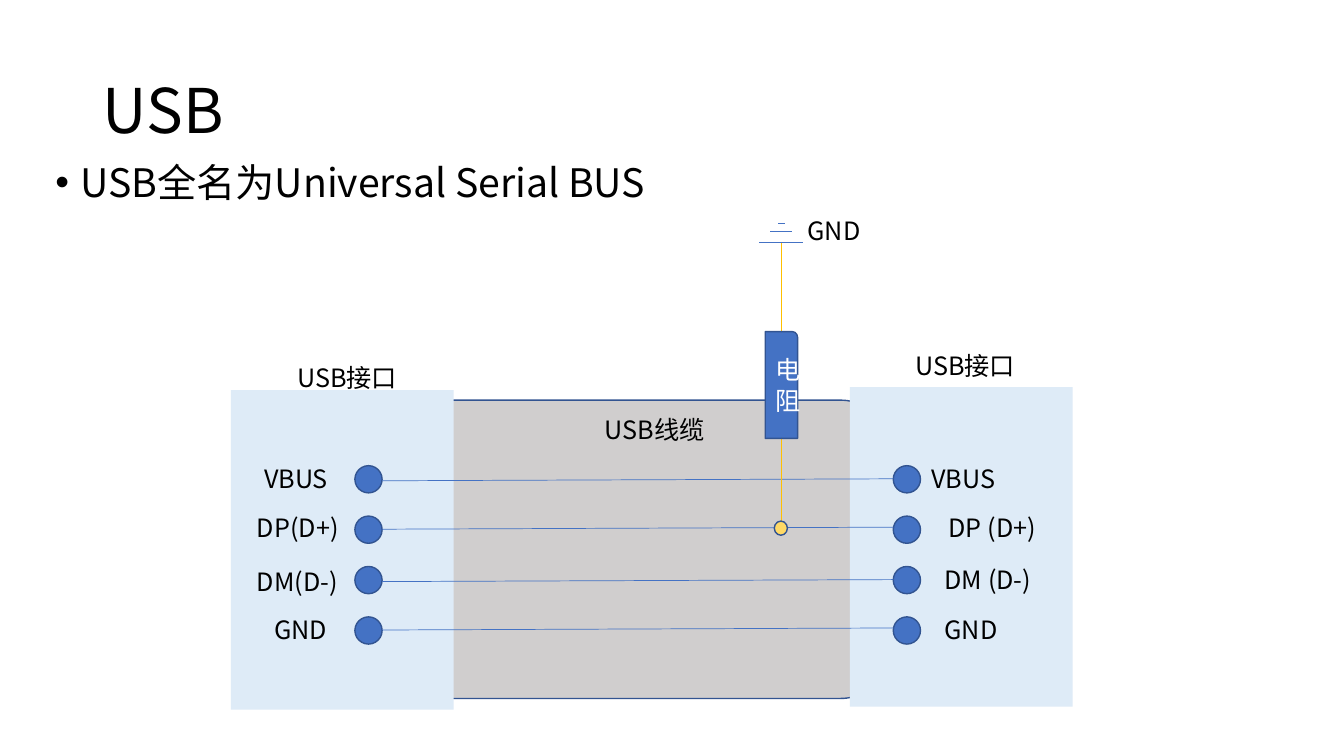
import dataclasses

import lxml.etree
import pptx
import pptx.dml.color
import pptx.enum.shapes
import pptx.enum.text
import pptx.oxml.ns
import pptx.util

PX = 9144  # 100 px to the inch
FONT = "Noto Sans CJK SC"
COLOURS = {
    "cable": "D0CECE",
    "port": "DEEBF7",
    "blue": "4472C4",
    "outline": "325491",
    "node": "FFD966",
    "amber": "FFC000",
    "black": "000000",
    "white": "FFFFFF",
}
KINDS = pptx.enum.shapes.MSO_SHAPE
PIN_SIZE, PIN_TOP, PIN_PITCH = 27, 462, 50
LEFT_PIN, RIGHT_PIN = 352, 886
RESISTOR_X = 775


@dataclasses.dataclass(frozen=True)
class Label:
    text: str
    left: int
    top: int
    width: int = 115


@dataclasses.dataclass(frozen=True)
class Block:
    kind: int
    left: int
    top: int
    width: int
    height: int
    fill: str
    outlined: bool = True


@dataclasses.dataclass(frozen=True)
class Wire:
    x1: int
    y1: int
    x2: int
    y2: int
    colour: str = "blue"


CABLE_AND_PORTS = [
    Block(KINDS.ROUNDED_RECTANGLE, 388, 397, 495, 296, "cable"),
    Block(KINDS.RECTANGLE, 229, 387, 221, 317, "port", False),
    Block(KINDS.RECTANGLE, 843, 384, 221, 317, "port", False),
]
PINS = [
    Block(KINDS.OVAL, left, PIN_TOP + row * PIN_PITCH, PIN_SIZE, PIN_SIZE, "blue")
    for left in (LEFT_PIN, RIGHT_PIN)
    for row in range(4)
]
RESISTOR = Block(KINDS.ROUND_1_RECTANGLE, 759, 329, 32, 106, "blue")
NODE = Block(KINDS.OVAL, 768, 517, 13, 14, "node")

SIGNAL_WIRES = [
    Wire(LEFT_PIN + PIN_SIZE, y, RIGHT_PIN, y - 2) for y in (477, 525, 577, 625)
]
RESISTOR_WIRES = [
    Wire(RESISTOR_X, 435, RESISTOR_X, 524, "amber"),
    Wire(RESISTOR_X, 240, RESISTOR_X, 329, "amber"),
]
GROUND_SYMBOL = [
    Wire(753, 240, 796, 240),
    Wire(764, 230, 786, 230),
    Wire(772, 222, 779, 222),
]
LABELS = [
    Label("VBUS", 252, 455),
    Label("DP(D+)", 245, 503),
    Label("DM(D-)", 245, 557),
    Label("GND", 262, 605),
    Label("USB接口", 285, 355, 174),
    Label("VBUS", 914, 455),
    Label("DP (D+)", 931, 503),
    Label("DM (D-)", 927, 555, 129),
    Label("GND", 927, 605),
    Label("USB接口", 898, 343, 174),
    Label("USB线缆", 590, 406, 174),
    Label("GND", 791, 209, 79),
]


def rgb(name: str) -> pptx.dml.color.RGBColor:
    return pptx.dml.color.RGBColor.from_string(COLOURS[name])


def write(frame, text: str, size: int, colour: str = "black"):
    """Fill the frame with one formatted paragraph and return it."""
    frame.text = text
    frame.word_wrap = True
    para = frame.paragraphs[0]
    font = para.runs[0].font
    font.size = pptx.util.Pt(size)
    font.name = FONT
    font.color.rgb = rgb(colour)
    east_asian = lxml.etree.SubElement(font._element, pptx.oxml.ns.qn("a:ea"))
    east_asian.set("typeface", FONT)
    return para


def fill_placeholder(box, place: tuple, text: str, size: int):
    box.left, box.top, box.width, box.height = (value * PX for value in place)
    para = write(box.text_frame, text, size)
    box.text_frame.auto_size = pptx.enum.text.MSO_AUTO_SIZE.NONE
    para.alignment = pptx.enum.text.PP_ALIGN.LEFT
    para.line_spacing = 0.9
    return para


def add_bullet(para) -> None:
    para.space_before = pptx.util.Pt(10)
    properties = para._p.get_or_add_pPr()
    properties.set("marL", str(25 * PX))
    properties.set("indent", str(-25 * PX))
    for tag, key, value in (("a:buFont", "typeface", "Arial"), ("a:buChar", "char", "•")):
        lxml.etree.SubElement(properties, pptx.oxml.ns.qn(tag)).set(key, value)


def draw_block(page, block: Block):
    shape = page.shapes.add_shape(
        block.kind, block.left * PX, block.top * PX, block.width * PX, block.height * PX
    )
    shape.shadow.inherit = False
    shape.fill.solid()
    shape.fill.fore_color.rgb = rgb(block.fill)
    if block.outlined:
        shape.line.color.rgb = rgb("outline")
        shape.line.width = pptx.util.Pt(1)
    else:
        shape.line.fill.background()
    return shape


def draw_wire(page, wire: Wire) -> None:
    line = page.shapes.add_connector(
        pptx.enum.shapes.MSO_CONNECTOR.STRAIGHT,
        wire.x1 * PX, wire.y1 * PX, wire.x2 * PX, wire.y2 * PX,
    )
    line.line.color.rgb = rgb(wire.colour)
    line.line.width = pptx.util.Pt(0.5)
    lxml.etree.SubElement(line._element.spPr, pptx.oxml.ns.qn("a:effectLst"))


def draw_label(page, label: Label) -> None:
    box = page.shapes.add_textbox(
        label.left * PX, label.top * PX, label.width * PX, 40 * PX
    )
    write(box.text_frame, label.text, 18)
    box.text_frame.auto_size = pptx.enum.text.MSO_AUTO_SIZE.SHAPE_TO_FIT_TEXT


def draw_resistor(page) -> None:
    frame = draw_block(page, RESISTOR).text_frame
    para = write(frame, "电阻", 18, "white")
    para.alignment = pptx.enum.text.PP_ALIGN.CENTER
    frame.vertical_anchor = pptx.enum.text.MSO_ANCHOR.MIDDLE


def main() -> None:
    deck = pptx.Presentation()
    deck.slide_width, deck.slide_height = 1333 * PX, 750 * PX
    page = deck.slides.add_slide(deck.slide_layouts[1])

    title, body = page.placeholders
    fill_placeholder(title, (92, 40, 1150, 145), "USB", 44)
    title.text_frame.vertical_anchor = pptx.enum.text.MSO_ANCHOR.MIDDLE
    add_bullet(
        fill_placeholder(body, (45, 157, 1128, 106), "USB全名为Universal Serial BUS", 28)
    )

    for block in CABLE_AND_PORTS + PINS:
        draw_block(page, block)
    for wire in SIGNAL_WIRES + RESISTOR_WIRES + GROUND_SYMBOL:
        draw_wire(page, wire)
    draw_resistor(page)
    draw_block(page, NODE)
    for label in LABELS:
        draw_label(page, label)

    deck.save("out.pptx")


if __name__ == "__main__":
    main()
